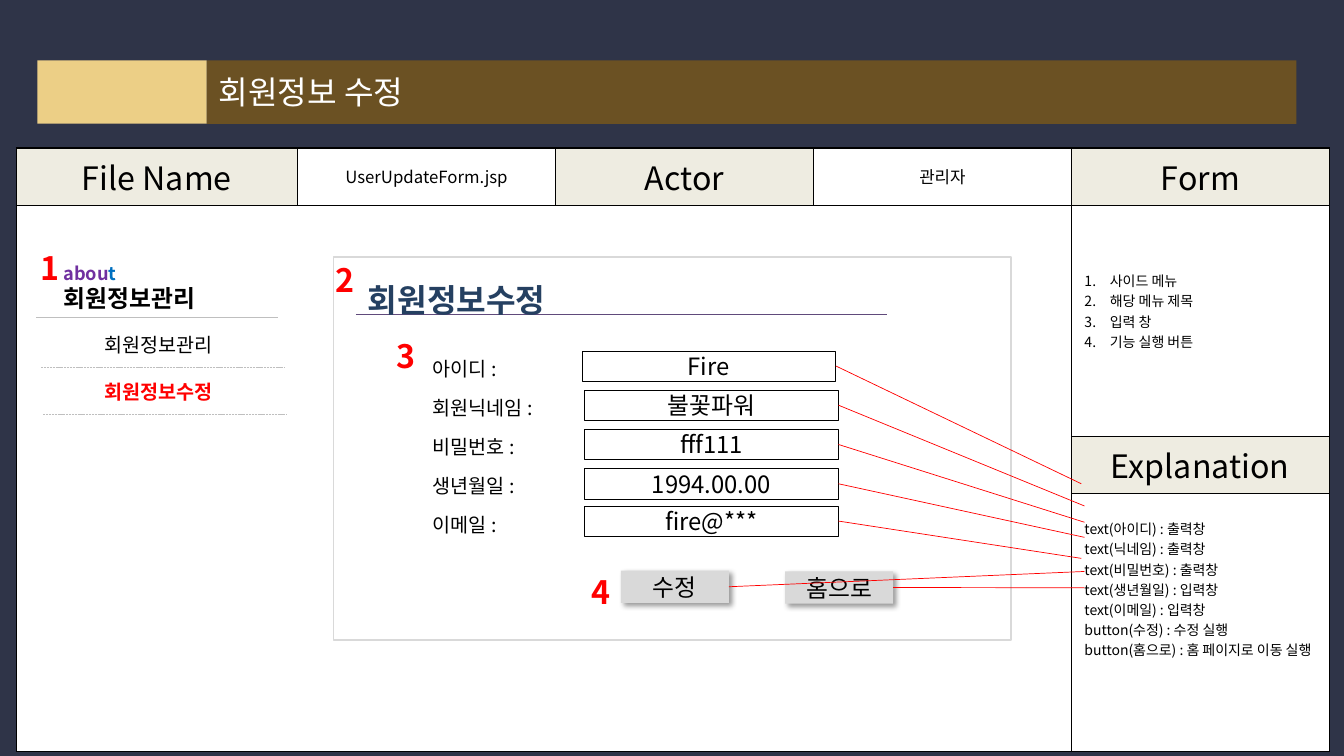
from lxml.etree import SubElement
from pptx import Presentation
from pptx.dml.color import RGBColor
from pptx.enum.dml import MSO_LINE
from pptx.enum.shapes import MSO_CONNECTOR, MSO_SHAPE
from pptx.enum.text import MSO_ANCHOR, MSO_AUTO_SIZE, PP_ALIGN
from pptx.oxml import parse_xml
from pptx.oxml.ns import nsdecls, qn
from pptx.util import Cm, Pt

FONT = "Noto Sans CJK KR"
COLORS = {
    "navy": "2F3448", "brown": "6B5123", "gold": "ECCF86", "cream": "EEECE1",
    "white": "FFFFFF", "black": "000000", "red": "FF0000", "purple": "7030A0",
    "blue": "0070C0", "heading": "254061", "rule": "604A7B",
    "gray": "BFBFBF", "light": "D9D9D9",
}
# label, value, field left, field top, end of the pointer line
FIELDS = [
    ("아이디 :", "Fire", 14.66, 8.84, (27.25, 12.19)),
    ("회원닉네임 :", "불꽃파워", 14.73, 9.83, (27.33, 12.75)),
    ("비밀번호 :", "fff111", 14.73, 10.82, (27.33, 13.16)),
    ("생년월일 :", "1994.00.00", 14.73, 11.81, (27.33, 13.54)),
    ("이메일 :", "fire@***", 14.73, 12.75, (27.25, 14.07)),
]
BUTTONS = [("수정", 15.65, 14.38, (27.33, 14.4)), ("홈으로", 19.79, 14.4, (27.33, 14.81))]
MARKERS = [("1", 0.71, 6.1), ("2", 8.15, 6.4), ("3", 9.7, 8.33), ("4", 14.6, 14.27)]
FORM_ITEMS = ["사이드 메뉴", "해당 메뉴 제목", "입력 창", "기능 실행 버튼"]
EXPLANATIONS = [
    "text(아이디) : 출력창", "text(닉네임) : 출력창", "text(비밀번호) : 출력창",
    "text(생년월일) : 입력창", "text(이메일) : 입력창", "button(수정) : 수정 실행",
    "button(홈으로) : 홈 페이지로 이동 실행",
]


def rgb(name):
    return RGBColor.from_string(COLORS[name])


def paint(fill, color):
    fill.solid()
    fill.fore_color.rgb = rgb(color)


def style_paragraph(para, size, color="black", bold=False, align=PP_ALIGN.LEFT, name=FONT):
    para.alignment = align
    font = para.font
    font.size, font.bold, font.name = Pt(size), bold, name
    font.color.rgb = rgb(color)
    SubElement(para._p.pPr.find(qn("a:defRPr")), qn("a:ea"), typeface=FONT)


def set_frame(frame, anchor=MSO_ANCHOR.TOP, wrap=True):
    frame.word_wrap = wrap
    frame.auto_size = MSO_AUTO_SIZE.NONE
    frame.vertical_anchor = anchor
    frame.margin_left = frame.margin_right = Cm(0.3)
    frame.margin_top = frame.margin_bottom = Cm(0.15)


def add_text(slide, text, left, top, width, height, size, wrap=True, **style):
    box = slide.shapes.add_textbox(Cm(left), Cm(top), Cm(width), Cm(height))
    set_frame(box.text_frame, wrap=wrap)
    para = box.text_frame.paragraphs[0]
    para.text = text
    style_paragraph(para, size, **style)
    return box


def add_box(slide, left, top, width, height, fill=None, line=None, weight=1,
            text="", kind=MSO_SHAPE.RECTANGLE):
    box = slide.shapes.add_shape(kind, Cm(left), Cm(top), Cm(width), Cm(height))
    box.shadow.inherit = False
    if fill:
        paint(box.fill, fill)
    else:
        box.fill.background()
    if line:
        box.line.color.rgb = rgb(line)
        box.line.width = Pt(weight)
    else:
        box.line.fill.background()
    if text:
        set_frame(box.text_frame, MSO_ANCHOR.MIDDLE)
        para = box.text_frame.paragraphs[0]
        para.text = text
        style_paragraph(para, 17, align=PP_ALIGN.CENTER)
    return box


def add_button(slide, text, left, top):
    button = add_box(slide, left, top, 2.72, 0.81, "light", text=text,
                     kind=MSO_SHAPE.ROUNDED_RECTANGLE)
    button.adjustments[0] = 0
    effects = button._element.spPr.find(qn("a:effectLst"))
    effects.append(parse_xml(
        f'<a:outerShdw {nsdecls("a")} blurRad="{Pt(4)}" dist="{Pt(3)}" dir="2700000" '
        'algn="tl" rotWithShape="0"><a:srgbClr val="000000"><a:alpha val="40000"/>'
        '</a:srgbClr></a:outerShdw>'))
    return button


def add_line(slide, start, end, color, dashed=False):
    line = slide.shapes.add_connector(
        MSO_CONNECTOR.STRAIGHT, *(Cm(value) for value in (*start, *end)))
    line.line.color.rgb = rgb(color)
    line.line.width = Pt(0.5)
    if dashed:
        line.line.dash_style = MSO_LINE.SQUARE_DOT
    SubElement(line._element.spPr, qn("a:effectLst"))
    return line


def add_pointer(slide, box, end):
    """Red line from the middle of the box's right side to a point."""
    start = ((box.left + box.width) / Cm(1), (box.top + box.height / 2) / Cm(1))
    add_line(slide, start, end, "red").begin_connect(box, 3)


def format_cell(cell, fill):
    paint(cell.fill, fill)
    cell.margin_left = cell.margin_right = Cm(0.33)
    cell.margin_top = cell.margin_bottom = Cm(0.13)
    properties = cell._tc.get_or_add_tcPr()
    for index, side in enumerate("LRTB"):
        properties.insert(index, parse_xml(
            f'<a:ln{side} {nsdecls("a")} w="{Pt(1)}"><a:solidFill>'
            f'<a:srgbClr val="{COLORS["black"]}"/></a:solidFill></a:ln{side}>'))


def fill_cell(cell, lines, size, align=PP_ALIGN.LEFT, numbered=False):
    cell.text = "\n".join(lines)
    for para in cell.text_frame.paragraphs:
        if numbered:
            properties = para._p.get_or_add_pPr()
            properties.set("marL", str(Cm(0.64)))
            properties.set("indent", str(-Cm(0.64)))
            SubElement(properties, qn("a:buFont"), typeface="+mj-lt")
            SubElement(properties, qn("a:buAutoNum"), type="arabicPeriod")
        style_paragraph(para, size, align=align)


def add_layout_table(slide):
    widths, heights = [7.09] + [6.5] * 4, [1.44, 5.82, 1.44, 6.5]
    table = slide.shapes.add_table(4, 5, Cm(0.41), Cm(3.73),
                                   Cm(sum(widths)), Cm(sum(heights))).table
    table.first_row = table.horz_banding = False
    for column, width in zip(table.columns, widths):
        column.width = Cm(width)
    for row, height in zip(table.rows, heights):
        row.height = Cm(height)
    headers = {(0, 0): "File Name", (0, 2): "Actor", (0, 4): "Form", (2, 4): "Explanation"}
    for row in range(4):
        for column in range(5):
            cell = table.cell(row, column)
            header = headers.get((row, column))
            format_cell(cell, "cream" if header else "white")
            if header:
                fill_cell(cell, [header], 23, PP_ALIGN.CENTER)
    table.cell(1, 0).merge(table.cell(3, 3))
    for column, text in ((1, "UserUpdateForm.jsp"), (3, "관리자")):
        cell = table.cell(0, column)
        cell.vertical_anchor = MSO_ANCHOR.MIDDLE
        fill_cell(cell, [text], 12, PP_ALIGN.CENTER)
    form, explanation = table.cell(1, 4), table.cell(3, 4)
    fill_cell(form, FORM_ITEMS, 10, numbered=True)
    form.margin_top = Cm(1.65)
    fill_cell(explanation, EXPLANATIONS, 10)
    explanation.margin_top = Cm(0.64)


def add_title(slide):
    title = slide.shapes.title
    title.left, title.top, title.width, title.height = Cm(5.21), Cm(1.52), Cm(27.46), Cm(1.6)
    paint(title.fill, "brown")
    set_frame(title.text_frame, MSO_ANCHOR.MIDDLE)
    title.text_frame.text = "회원정보 수정"
    style_paragraph(title.text_frame.paragraphs[0], 23, "white")
    add_box(slide, 0.94, 1.52, 4.27, 1.6, "gold")


def add_side_menu(slide):
    add_line(slide, (0.91, 8), (7.01, 8), "gray")
    heading = add_text(slide, "", 1.3, 6.45, 4.24, 1.6, 13, wrap=False, bold=True)
    about = heading.text_frame.paragraphs[0]
    for text, color in (("abou", "purple"), ("t", "blue")):
        span = about.add_run()
        span.text = text
        span.font.color.rgb = rgb(color)
    name = heading.text_frame.add_paragraph()
    name.text = "회원정보관리"
    style_paragraph(name, 17, bold=True)
    add_text(slide, "회원정보관리", 0.97, 8.23, 6.05, 0.91, 14, align=PP_ALIGN.CENTER)
    add_text(slide, "회원정보수정", 0.97, 9.42, 6.05, 0.91, 14,
             color="red", bold=True, align=PP_ALIGN.CENTER)
    for left, top in ((1.04, 9.25), (1.09, 10.44)):
        add_line(slide, (left, top), (left + 6.15, top), "gray", dashed=True)


def add_update_form(slide):
    add_box(slide, 8.41, 6.48, 17.07, 9.65, line="light")
    add_line(slide, (8.97, 7.92), (22.35, 7.92), "rule")
    add_text(slide, "회원정보수정", 8.97, 6.91, 11.4, 1.3, 23,
             color="heading", bold=True, name="Arial")
    pointers = []
    for index, (label, value, left, top, end) in enumerate(FIELDS):
        field = add_box(slide, left, top, 6.4, 0.76, "white", "black", 0.25, value)
        add_text(slide, label, 10.6, 8.85 + 0.98 * index, 4.27, 0.91, 14)
        pointers.append((field, end))
    for text, left, top, end in BUTTONS:
        pointers.append((add_button(slide, text, left, top), end))
    for box, end in pointers:
        add_pointer(slide, box, end)


def main():
    deck = Presentation()
    deck.slide_width, deck.slide_height = Cm(33.87), Cm(19.05)
    slide = deck.slides.add_slide(deck.slide_layouts[5])
    paint(slide.background.fill, "navy")
    add_title(slide)
    add_layout_table(slide)
    add_side_menu(slide)
    add_update_form(slide)
    for number, left, top in MARKERS:
        add_text(slide, number, left, top, 1.09, 1.3, 23, wrap=False, color="red", bold=True)
    deck.save("out.pptx")


if __name__ == "__main__":
    main()
